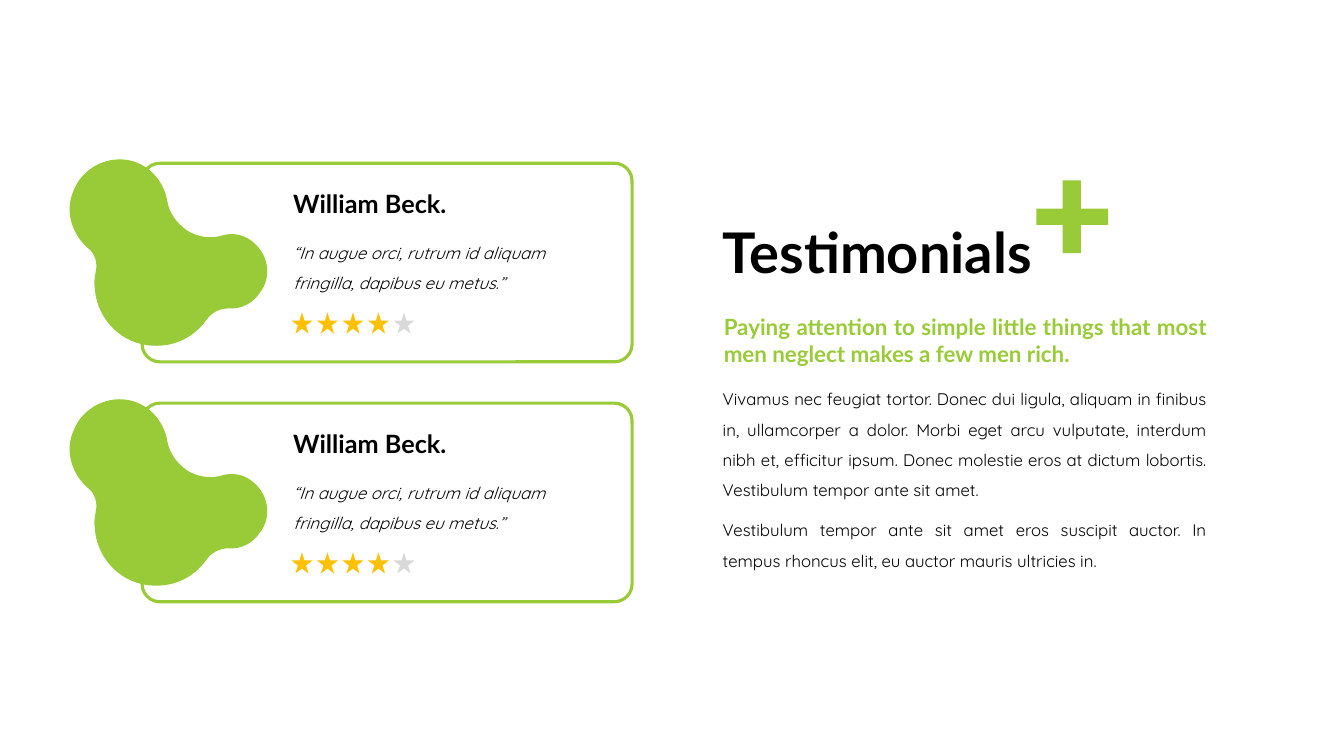
from lxml import etree
from pptx import Presentation
from pptx import util as u
from pptx.dml.color import RGBColor
from pptx.enum import shapes, text

COLORS = {"green": "99CB38", "black": "000000", "white": "FFFFFF",
          "gold": "FFC000", "grey": "D9D9D9"}

TITLE = "Testimonials"
TAGLINE = "Paying attention to simple little things that most men neglect makes a few men rich."
# Body paragraphs: top, height, wording
BODY = [
    (3.71, 1.31, "Vivamus nec feugiat tortor. Donec dui ligula, aliquam in finibus in, "
                 "ullamcorper a dolor. Morbi eget arcu vulputate, interdum nibh et, efficitur "
                 "ipsum. Donec molestie eros at dictum lobortis. Vestibulum tempor ante sit amet."),
    (5.01, 0.71, "Vestibulum tempor ante sit amet eros suscipit auctor. In tempus rhoncus "
                 "elit, eu auctor mauris ultricies in."),
]
# Reviews: name, quote, stars earned
QUOTE = "“In augue orci, rutrum id aliquam fringilla, dapibus eu metus.”"
REVIEWS = [("William Beck.", QUOTE, 4), ("William Beck.", QUOTE, 4)]
STAR_COUNT, STAR_SIZE, STAR_PITCH = 5, 0.21, 0.253
CARD_TOP, CARD_PITCH = 1.62, 2.38

PLUS = [(10.54, 1.79), (10.72, 1.79), (10.72, 2.07), (10.99, 2.07), (10.99, 2.23),
        (10.72, 2.23), (10.72, 2.51), (10.54, 2.51), (10.54, 2.23), (10.28, 2.23),
        (10.28, 2.07), (10.54, 2.07)]
# Blob on the first card: start point, then three points per Bézier curve
BLOB = [(2.27, 3.06),
        (2.39, 3.07), (2.51, 3.01), (2.58, 2.9), (2.69, 2.76), (2.67, 2.55), (2.53, 2.42),
        (2.44, 2.33), (2.31, 2.3), (2.19, 2.34), (2.08, 2.37), (1.96, 2.35), (1.86, 2.29),
        (1.76, 2.22), (1.68, 2.12), (1.66, 2), (1.63, 1.82), (1.51, 1.66), (1.32, 1.6),
        (1.08, 1.53), (0.82, 1.66), (0.73, 1.89), (0.64, 2.09), (0.71, 2.32), (0.87, 2.46),
        (0.94, 2.51), (0.97, 2.61), (0.95, 2.69), (0.94, 2.75), (0.93, 2.8), (0.94, 2.86),
        (0.96, 3.17), (1.21, 3.42), (1.52, 3.43), (1.74, 3.44), (1.93, 3.34), (2.05, 3.17),
        (2.1, 3.1), (2.18, 3.06), (2.27, 3.06)]

deck = Presentation()
deck.slide_width, deck.slide_height = u.Inches(13.33), u.Inches(7.5)
page = deck.slides.add_slide(deck.slide_layouts[6])


def paint(shape, fill, line=None):
    shape.shadow.inherit = False
    shape.fill.solid()
    shape.fill.fore_color.rgb = RGBColor.from_string(COLORS[fill])
    if line:
        shape.line.color.rgb = RGBColor.from_string(COLORS[line])
        shape.line.width = u.Pt(2.25)
    else:
        shape.line.fill.background()


def add_text(wording, area, size, font="Lato", color="black", bold=False, italic=False,
             align=text.PP_ALIGN.LEFT, anchor=text.MSO_ANCHOR.TOP, spacing=1.0, grow=True):
    box = page.shapes.add_textbox(*map(u.Inches, area))
    frame = box.text_frame
    frame.word_wrap = True
    frame.vertical_anchor = anchor
    frame.auto_size = text.MSO_AUTO_SIZE.SHAPE_TO_FIT_TEXT if grow else text.MSO_AUTO_SIZE.NONE
    para = frame.paragraphs[0]
    para.alignment, para.line_spacing = align, spacing
    span = para.add_run()
    span.text = wording
    span.font.name, span.font.size = font, u.Pt(size)
    span.font.bold, span.font.italic = bold, italic
    span.font.color.rgb = RGBColor.from_string(COLORS[color])


def add_outline(points, shift=0.0, curved=False):
    start, *rest = [(u.Inches(x), u.Inches(y + shift)) for x, y in points]
    builder = page.shapes.build_freeform(*start)
    builder.add_line_segments(rest, close=True)
    shape = builder.convert_to_shape()
    paint(shape, "green")
    if curved:
        # Merge each three line segments into one cubic curve
        segments = shape._element.xpath(".//a:path/a:lnTo")
        for first in range(0, len(rest), 3):
            trio = segments[first:first + 3]
            namespace = etree.QName(trio[0]).namespace
            curve = etree.Element(f"{{{namespace}}}cubicBezTo")
            trio[0].addprevious(curve)
            for segment in trio:
                curve.append(segment[0])
                segment.getparent().remove(segment)


def add_review(name, quote, earned, shift):
    card = page.shapes.add_shape(shapes.MSO_SHAPE.ROUNDED_RECTANGLE,
                                 *map(u.Inches, (1.41, CARD_TOP + shift, 4.86, 1.97)))
    card.adjustments[0] = 0.089
    paint(card, "white", "green")
    add_outline(BLOB, shift, curved=True)
    middle = text.MSO_ANCHOR.MIDDLE
    add_text(quote, (2.81, 2.27 + shift, 3.32, 0.67), 12, "Quicksand", italic=True,
             anchor=middle, spacing=1.5)
    add_text(name, (2.81, 1.82 + shift, 2.62, 0.4), 18, bold=True, anchor=middle)
    rating = page.shapes.add_group_shape()
    for index in range(STAR_COUNT):
        area = (2.89 + index * STAR_PITCH, 3.1 + shift, STAR_SIZE, STAR_SIZE)
        star = rating.shapes.add_shape(shapes.MSO_SHAPE.STAR_5_POINT, *map(u.Inches, area))
        paint(star, "gold" if index < earned else "grey")


# Right column
justify = text.PP_ALIGN.JUSTIFY
add_outline(PLUS)
add_text(TAGLINE, (7.08, 3.06, 4.99, 0.64), 16, color="green", bold=True, align=justify)
for top, height, wording in BODY:
    add_text(wording, (7.07, top, 5, height), 12, "Quicksand", align=justify, spacing=1.5)

# Review cards
for row, review in enumerate(REVIEWS):
    add_review(*review, shift=row * CARD_PITCH)

# Title
add_text(TITLE, (7.07, 1.81, 5.08, 1.45), 40, bold=True, anchor=text.MSO_ANCHOR.MIDDLE,
         spacing=0.9, grow=False)

deck.save("out.pptx")
